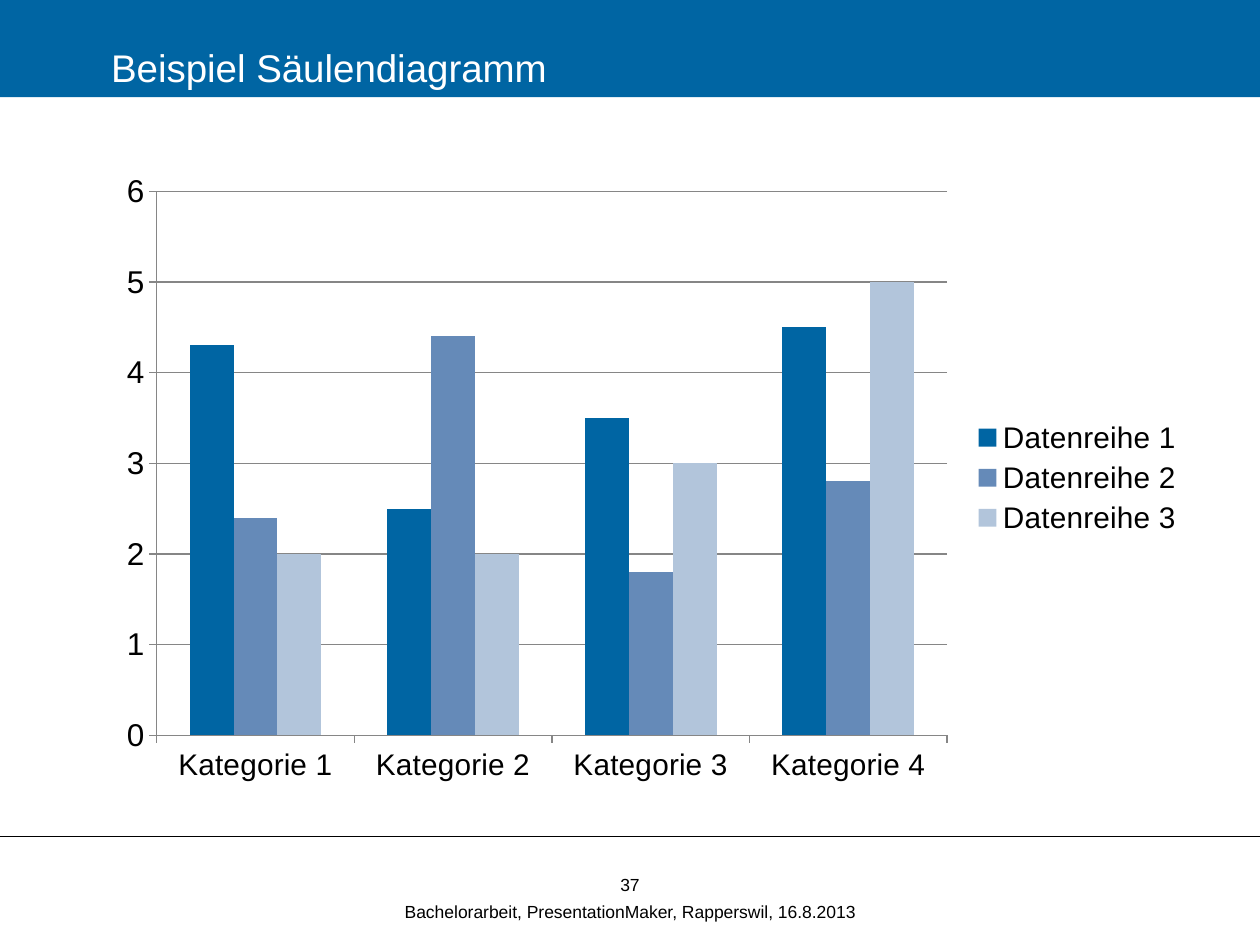
from lxml import etree
from pptx import Presentation
from pptx.chart.data import CategoryChartData
from pptx.dml.color import RGBColor
from pptx.enum.chart import XL_CHART_TYPE, XL_LEGEND_POSITION, XL_TICK_MARK
from pptx.enum.shapes import MSO_CONNECTOR, MSO_SHAPE
from pptx.enum.text import MSO_ANCHOR, PP_ALIGN
from pptx.oxml.ns import qn
from pptx.util import Pt

BLUE = RGBColor(0x00, 0x65, 0xA3)
MID = RGBColor(0x65, 0x8A, 0xB8)
PALE = RGBColor(0xB2, 0xC5, 0xDB)
GREY = RGBColor(0x86, 0x86, 0x86)
BLACK = RGBColor(0, 0, 0)
WHITE = RGBColor(255, 255, 255)

CATS = ["Kategorie 1", "Kategorie 2", "Kategorie 3", "Kategorie 4"]
SERIES = [
    ("Datenreihe 1", (4.3, 2.5, 3.5, 4.5), BLUE),
    ("Datenreihe 2", (2.4, 4.4, 1.8, 2.8), MID),
    ("Datenreihe 3", (2, 2, 3, 5), PALE),
]


def set_font(font, size, color):
    font.name = "Arial"
    font.size = Pt(size)
    font.color.rgb = color


def write(frame, text, size, color, align):
    frame.word_wrap = True
    frame.vertical_anchor = MSO_ANCHOR.MIDDLE
    para = frame.paragraphs[0]
    para.text = text
    para.alignment = align
    set_font(para.font, size, color)


def add_title(slide, text):
    bar = slide.shapes.add_shape(MSO_SHAPE.RECTANGLE, 0, 0, Pt(720), Pt(55.5))
    bar.shadow.inherit = False
    bar.fill.solid()
    bar.fill.fore_color.rgb = BLUE
    bar.line.fill.background()
    frame = bar.text_frame
    frame.margin_left = Pt(63.5)
    frame.margin_top = Pt(25.2)
    frame.margin_bottom = Pt(3.6)
    write(frame, text, 22, WHITE, PP_ALIGN.LEFT)


def add_rule(slide, left, right, top):
    rule = slide.shapes.add_connector(
        MSO_CONNECTOR.STRAIGHT, Pt(left), Pt(top), Pt(right), Pt(top))
    rule.line.color.rgb = BLACK
    rule.line.width = Pt(0.75)
    props = rule._element.spPr
    etree.SubElement(props, qn("a:effectLst"))


def add_note(slide, text, top, height):
    box = slide.shapes.add_textbox(Pt(198), Pt(top), Pt(324), Pt(height))
    write(box.text_frame, text, 10, BLACK, PP_ALIGN.CENTER)


def style_axis(axis, size):
    axis.major_tick_mark = XL_TICK_MARK.OUTSIDE
    axis.minor_tick_mark = XL_TICK_MARK.NONE
    axis.format.line.color.rgb = GREY
    axis.format.line.width = Pt(0.75)
    set_font(axis.tick_labels.font, size, BLACK)


def add_columns(slide):
    data = CategoryChartData()
    data.categories = CATS
    for name, values, _ in SERIES:
        data.add_series(name, values)
    chart = slide.shapes.add_chart(
        XL_CHART_TYPE.COLUMN_CLUSTERED,
        Pt(60), Pt(92), Pt(623.5), Pt(362), data).chart
    chart.has_title = False
    set_font(chart.font, 18, BLACK)

    # Columns
    plot = chart.plots[0]
    plot.vary_by_categories = False
    plot.gap_width = 150
    plot.overlap = 0
    for series, (_, _, color) in zip(plot.series, SERIES):
        series.format.fill.solid()
        series.format.fill.fore_color.rgb = color

    # Axes and grid
    style_axis(chart.category_axis, 17)
    scale = chart.value_axis
    style_axis(scale, 18)
    scale.minimum_scale, scale.maximum_scale = 0, 6
    scale.major_unit = 1
    scale.has_major_gridlines = True
    grid = scale.major_gridlines.format.line
    grid.color.rgb = GREY
    grid.width = Pt(0.75)

    # Legend
    chart.has_legend = True
    chart.legend.position = XL_LEGEND_POSITION.RIGHT
    chart.legend.include_in_layout = False
    set_font(chart.legend.font, 17, BLACK)


def main():
    deck = Presentation()
    deck.slide_width, deck.slide_height = Pt(720), Pt(540)
    slide = deck.slides.add_slide(deck.slide_layouts[6])

    # Frame of the slide
    add_rule(slide, -3, 720, 478)
    add_title(slide, "Beispiel Säulendiagramm")

    # Footer
    add_note(slide, "Bachelorarbeit, PresentationMaker, Rapperswil, 16.8.2013",
             511, 20)
    add_note(slide, "37", 500.5, 9.5)

    # Content
    add_columns(slide)
    deck.save("out.pptx")


if __name__ == "__main__":
    main()
